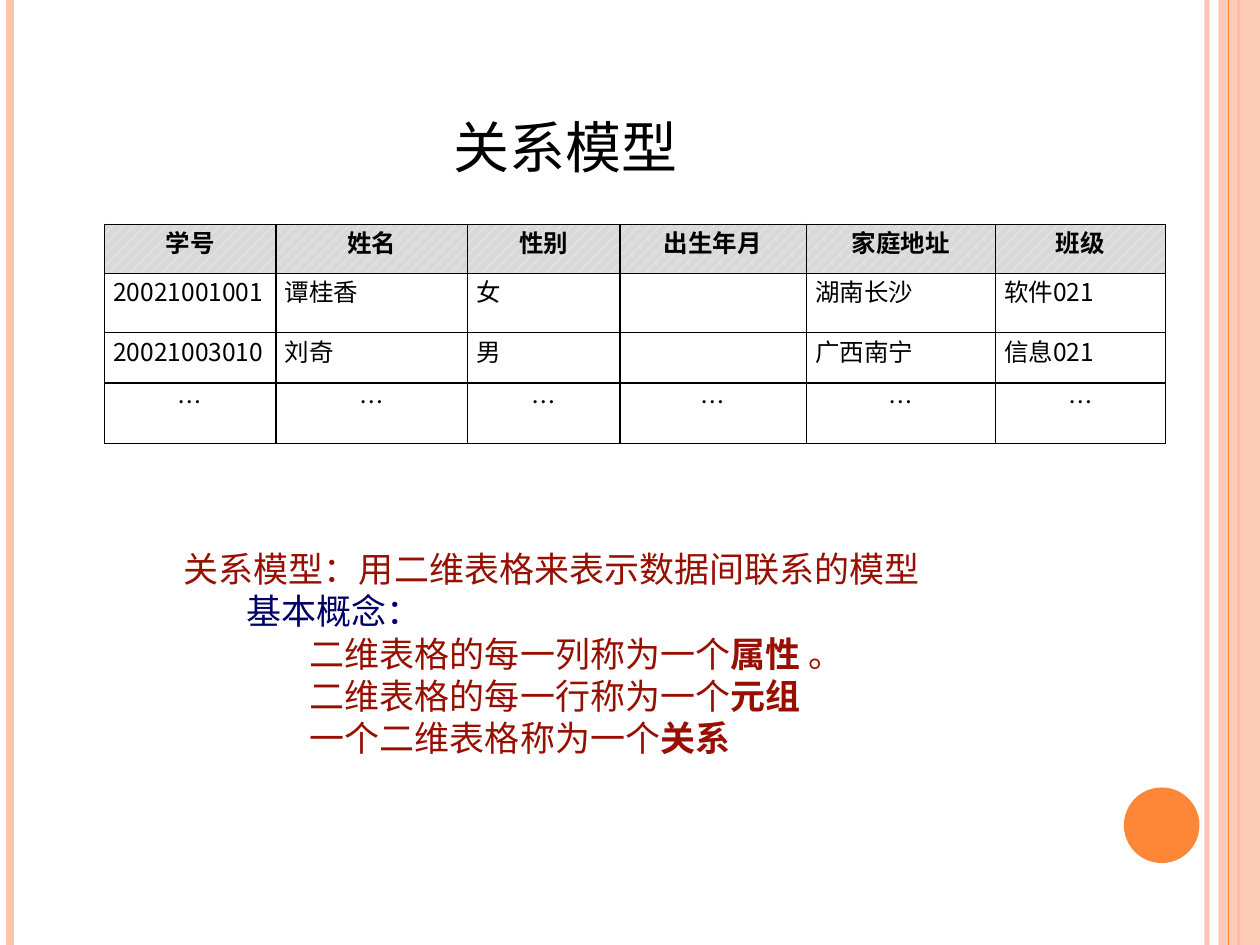
from pptx import Presentation
from pptx.dml.color import RGBColor
from pptx.enum.dml import MSO_PATTERN
from pptx.enum.shapes import MSO_CONNECTOR, MSO_SHAPE
from pptx.enum.text import MSO_AUTO_SIZE, PP_ALIGN
from pptx.oxml import parse_xml
from pptx.oxml.ns import nsdecls, qn
from pptx.util import Inches, Pt
from lxml import etree

STRAIGHT = MSO_CONNECTOR.STRAIGHT
RECTANGLE, OVAL = MSO_SHAPE.RECTANGLE, MSO_SHAPE.OVAL
CENTER, JUSTIFY = PP_ALIGN.CENTER, PP_ALIGN.JUSTIFY
DOTTED = MSO_PATTERN.PERCENT_20
FIT_SHAPE = MSO_AUTO_SIZE.SHAPE_TO_FIT_TEXT

WIDTH, HEIGHT = 10, 7.5
FONT = "Noto Sans CJK SC"
BLACK, WHITE, GRAY = "000000", "FFFFFF", "D9D9D9"
PEACH, ORANGE, RED, NAVY = "FEC3AE", "FE8637", "970F00", "000066"

# x, colour, width in points, opacity in percent
LEFT_STRIPES = [(9.58, PEACH, 3, 93), (0.08, PEACH, 4.5, 100), (9.83, ORANGE, 1.5, 100)]
TOP_STRIPE = (9.75, ORANGE, 0.75, 100)

TITLE = "关系模型"
COLUMNS = [1.36, 1.52, 1.21, 1.48, 1.5, 1.35]
ROW_HEIGHTS = [0.39, 0.47, 0.4, 0.48]
STUDENTS = [
    ["学号", "姓名", "性别", "出生年月", "家庭地址", "班级"],
    ["20021001001", "谭桂香", "女", "", "湖南长沙", "软件021"],
    ["20021003010", "刘奇", "男", "", "广西南宁", "信息021"],
    ["…"] * 6,
]
# level, colour, spans of (text, bold)
CONCEPTS = [
    (1, RED, [("关系模型：用二维表格来表示数据间联系的模型", False)]),
    (2, NAVY, [("基本概念：", False)]),
    (3, RED, [("二维表格的每一列称为一个", False), ("属性", True), (" 。", False)]),
    (3, RED, [("二维表格的每一行称为一个", False), ("元组", True)]),
    (3, RED, [("一个二维表格称为一个", False), ("关系", True)]),
]


def color(value):
    return RGBColor.from_string(value)


def set_opacity(fill, percent):
    if percent < 100:
        choice = fill.find(".//" + qn("a:srgbClr"))
        etree.SubElement(choice, qn("a:alpha")).set("val", str(percent * 1000))


def add_span(para, text, size=14, font=FONT, ink=BLACK, bold=False):
    span = para.add_run()
    span.text = text
    span.font.size, span.font.name, span.font.bold = Pt(size), font, bold
    span.font.color.rgb = color(ink)
    east_asian = etree.SubElement(span.font._element, qn("a:ea"))
    east_asian.set("typeface", FONT)


def add_stripe(page, x, ink, width, opacity):
    line = page.shapes.add_connector(STRAIGHT, Inches(x), 0, Inches(x), Inches(HEIGHT))
    line.line.color.rgb = color(ink)
    line.line.width = Pt(width)
    properties = line._element.spPr
    set_opacity(properties.find(qn("a:ln")), opacity)
    etree.SubElement(properties, qn("a:effectLst"))


def add_block(page, kind, place, ink, opacity=100):
    shape = page.shapes.add_shape(kind, *map(Inches, place))
    shape.shadow.inherit = False
    shape.fill.solid()
    shape.fill.fore_color.rgb = color(ink)
    shape.line.fill.background()
    set_opacity(shape._element.spPr.find(qn("a:solidFill")), opacity)


def add_frame(page, place, wrap):
    frame = page.shapes.add_textbox(*map(Inches, place)).text_frame
    frame.word_wrap = wrap
    frame.auto_size = FIT_SHAPE
    return frame


def add_borders(cell):
    properties = cell._tc.get_or_add_tcPr()
    for side in ("lnL", "lnR", "lnT", "lnB"):
        properties.append(parse_xml(
            f'<a:{side} {nsdecls("a")} w="{Pt(1)}"><a:solidFill>'
            f'<a:srgbClr val="{BLACK}"/></a:solidFill></a:{side}>'))


def format_cell(cell, text, header, centered):
    cell.margin_left = cell.margin_right = Inches(0.07)
    cell.margin_top = cell.margin_bottom = 0
    add_borders(cell)
    if header:
        cell.fill.patterned()
        cell.fill.pattern = DOTTED
        cell.fill.fore_color.rgb = color(WHITE)
        cell.fill.back_color.rgb = color(GRAY)
    else:
        cell.fill.background()
    para = cell.text_frame.paragraphs[0]
    para.alignment = CENTER if centered else JUSTIFY
    if text:
        add_span(para, text, bold=header)


def add_student_table(page):
    table = page.shapes.add_table(
        len(STUDENTS), len(COLUMNS), Inches(0.83), Inches(1.78),
        Inches(sum(COLUMNS)), Inches(sum(ROW_HEIGHTS))).table
    table.first_row = table.horz_banding = False
    for column, width in zip(table.columns, COLUMNS):
        column.width = Inches(width)
    for index, (row, height) in enumerate(zip(table.rows, ROW_HEIGHTS)):
        row.height = Inches(height)
        centered = index in (0, len(STUDENTS) - 1)
        for cell, text in zip(row.cells, STUDENTS[index]):
            format_cell(cell, text, index == 0, centered)


def add_concepts(page):
    frame = add_frame(page, (0.86, 4.3, 7.32, 1.77), True)
    for index, (level, ink, spans) in enumerate(CONCEPTS):
        para = frame.add_paragraph() if index else frame.paragraphs[0]
        para.level = level
        properties = para._p.get_or_add_pPr()
        properties.set("marL", str(Inches(level * 0.5)))
        properties.set("indent", "0")
        for text, bold in spans:
            add_span(para, text, size=20, ink=ink, bold=bold)


def main():
    deck = Presentation()
    deck.slide_width, deck.slide_height = Inches(WIDTH), Inches(HEIGHT)
    page = deck.slides.add_slide(deck.slide_layouts[6])
    for stripe in LEFT_STRIPES:
        add_stripe(page, *stripe)
    add_block(page, RECTANGLE, (9.67, 0, 0.33, HEIGHT), PEACH, opacity=87)
    add_stripe(page, *TOP_STRIPE)
    add_block(page, OVAL, (8.92, 6.25, 0.6, 0.6), ORANGE)
    add_student_table(page)
    title = add_frame(page, (3.5, 0.84, 1.98, 0.63), False)
    add_span(title.paragraphs[0], TITLE, size=32, font="Arial")
    add_concepts(page)
    deck.save("out.pptx")


if __name__ == "__main__":
    main()
